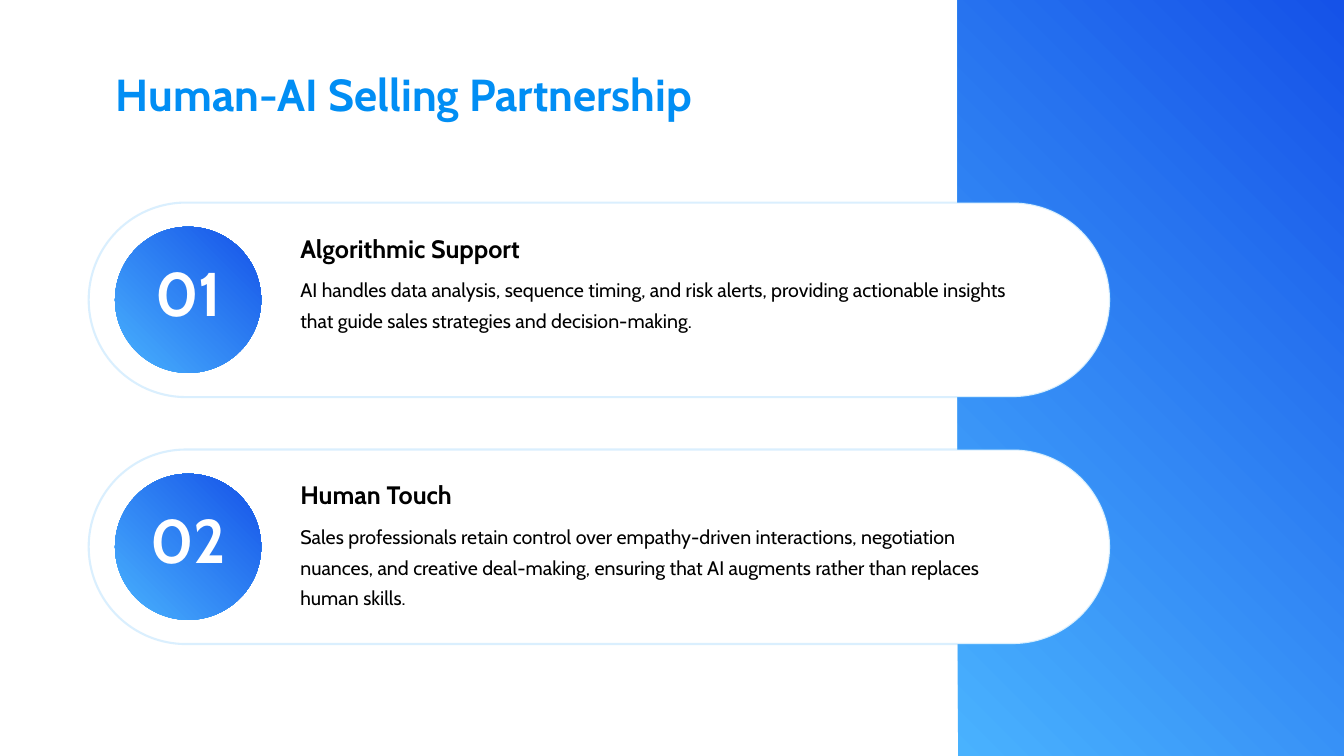
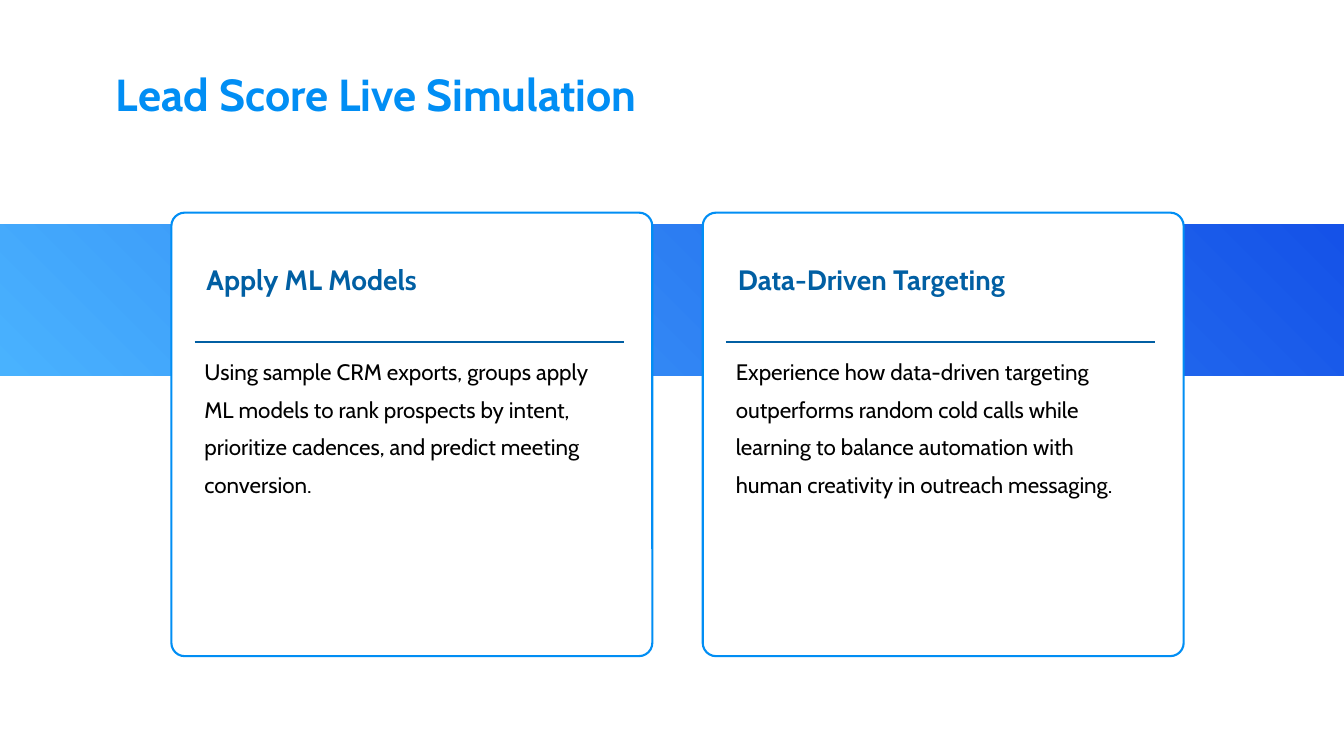
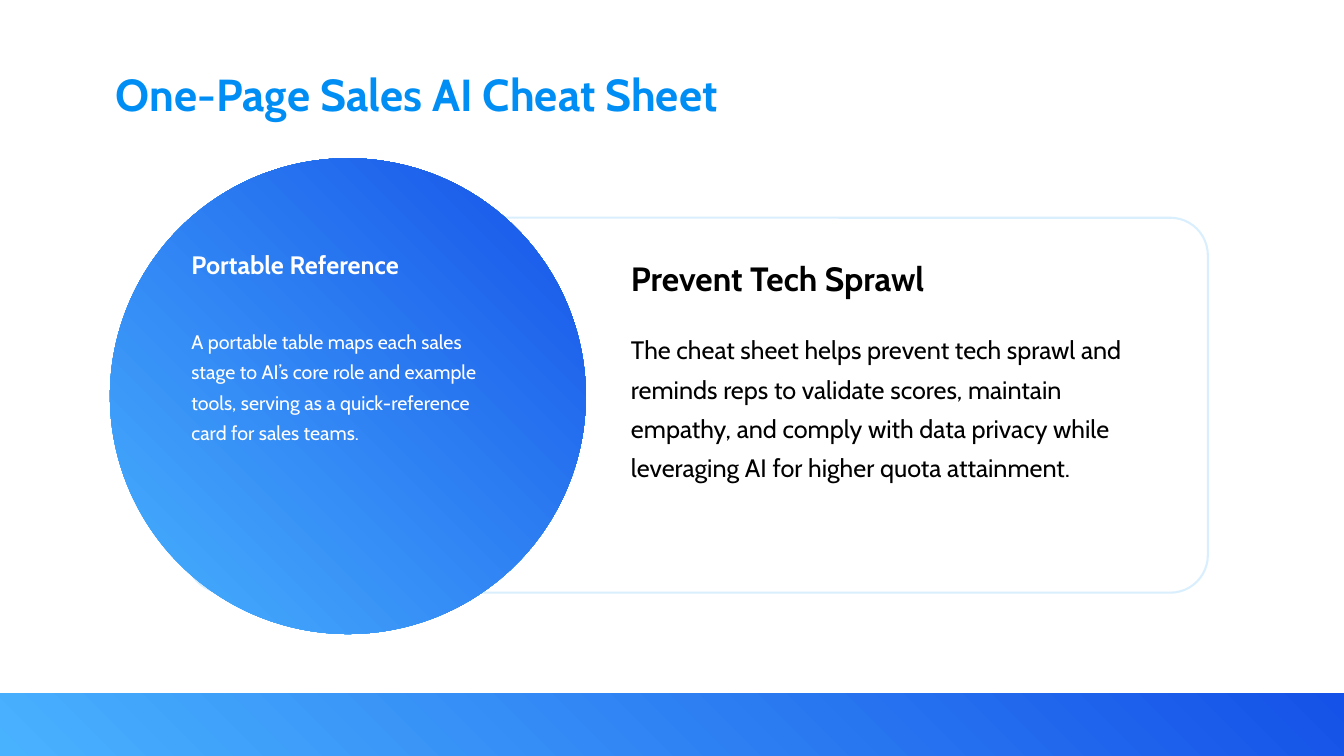
from lxml.etree import SubElement
from pptx import Presentation
from pptx.dml.color import RGBColor
from pptx.enum.shapes import MSO_CONNECTOR, MSO_SHAPE
from pptx.enum.text import MSO_ANCHOR, MSO_AUTO_SIZE, PP_ALIGN
from pptx.oxml.ns import qn
from pptx.util import Inches, Pt

FONT = "Cabin"
WHITE, BLACK = "FFFFFF", "000000"
SKY, ROYAL = "49B2FE", "1552E8"
BLUE, NAVY = "018EF4", "015FA3"
rgb = RGBColor.from_string


def write(box, text, size, color=BLACK, bold=False, spacing=None, align=PP_ALIGN.LEFT):
    frame = box.text_frame
    frame.word_wrap = True
    frame.auto_size = MSO_AUTO_SIZE.NONE
    frame.vertical_anchor = MSO_ANCHOR.TOP
    frame.margin_left = frame.margin_right = Inches(0.1)
    frame.margin_top = frame.margin_bottom = 0
    para = frame.paragraphs[0]
    para.alignment = align
    para.line_spacing = spacing
    span = para.add_run()
    span.text = text
    span.font.name = FONT
    span.font.size = Pt(size)
    span.font.bold = bold
    span.font.color.rgb = rgb(color)


def add_panel(page, kind, place, outline=None, corner=None, opacity=100):
    """Add a white panel when an outline is given, otherwise a gradient one."""
    panel = page.shapes.add_shape(kind, *map(Inches, place))
    panel.shadow.inherit = False
    if corner is not None:
        panel.adjustments[0] = corner
    if outline:
        panel.fill.solid()
        panel.fill.fore_color.rgb = rgb(WHITE)
        panel.line.color.rgb = rgb(outline)
        panel.line.width = Pt(1.5)
        if opacity < 100:
            line_color = panel._element.spPr.xpath("./a:ln//a:srgbClr")[0]
            SubElement(line_color, qn("a:alpha")).set("val", str(opacity * 1000))
    else:
        panel.fill.gradient()
        panel.fill.gradient_angle = 45
        for stop, color, position in zip(panel.fill.gradient_stops, (SKY, ROYAL), (0, 1)):
            stop.color.rgb = rgb(color)
            stop.position = position
        panel.line.fill.background()


deck = Presentation()
deck.slide_width, deck.slide_height = Inches(13.33), Inches(7.5)
layout = deck.slide_layouts.get_by_name("Title Only")
layout_title = layout.placeholders[0]
layout_title.left, layout_title.top = Inches(1.05), Inches(0.66)
layout_title.width, layout_title.height = Inches(10.72), Inches(0.55)

pages = []
for title in (
    "Human-AI Selling Partnership",
    "Lead Score Live Simulation",
    "One-Page Sales AI Cheat Sheet",
):
    page = deck.slides.add_slide(layout)
    write(page.shapes.title, title, 32, BLUE, bold=True)
    pages.append(page)
partnership, simulation, cheat_sheet = pages

# Numbered pills over a side band
add_panel(partnership, MSO_SHAPE.RECTANGLE, (9.5, 0, 3.83, 7.5))
pills = [
    ("Algorithmic Support",
     "AI handles data analysis, sequence timing, and risk alerts, providing "
     "actionable insights that guide sales strategies and decision-making."),
    ("Human Touch",
     "Sales professionals retain control over empathy-driven interactions, "
     "negotiation nuances, and creative deal-making, ensuring that AI augments "
     "rather than replaces human skills."),
]
for index, (heading, detail) in enumerate(pills):
    top = 2.01 + index * 2.45
    add_panel(partnership, MSO_SHAPE.ROUNDED_RECTANGLE, (0.88, top, 10.13, 1.93), SKY, 0.5, 20)
    add_panel(partnership, MSO_SHAPE.OVAL, (1.14, top + 0.24, 1.45, 1.45))
    for place, text, style in (
        ((1.34, top + 0.52, 1.06, 0.75), f"{index + 1:02}",
         dict(size=44, color=WHITE, bold=True, align=PP_ALIGN.CENTER)),
        ((2.88, top + 0.3, 7.41, 0.31), heading, dict(size=18, bold=True)),
        ((2.88, top + 0.68, 7.41, 0.94), detail, dict(size=14, spacing=1.3)),
    ):
        write(partnership.shapes.add_textbox(*map(Inches, place)), text, **style)

# Two cards across a band
add_panel(simulation, MSO_SHAPE.RECTANGLE, (0, 2.23, 13.33, 1.5))
cards = [
    ("Apply ML Models",
     "Using sample CRM exports, groups apply ML models to rank prospects by "
     "intent, prioritize cadences, and predict meeting conversion."),
    ("Data-Driven Targeting",
     "Experience how data-driven targeting outperforms random cold calls while "
     "learning to balance automation with human creativity in outreach messaging."),
]
for index, (heading, detail) in enumerate(cards):
    left = 1.7 + index * 5.27
    add_panel(simulation, MSO_SHAPE.ROUNDED_RECTANGLE, (left, 2.11, 4.77, 4.4), BLUE, 0.03)
    rule = simulation.shapes.add_connector(
        MSO_CONNECTOR.STRAIGHT,
        Inches(left + 0.23), Inches(3.39), Inches(left + 4.49), Inches(3.39))
    rule.line.color.rgb = rgb(NAVY)
    rule.line.width = Pt(1.5)
    SubElement(rule._element.spPr, qn("a:effectLst"))
    for place, text, style in (
        ((left + 0.25, 2.6, 4.26, 0.34), heading, dict(size=20, color=NAVY, bold=True)),
        ((left + 0.23, 3.45, 4.26, 1.87), detail, dict(size=16, spacing=1.4)),
    ):
        write(simulation.shapes.add_textbox(*map(Inches, place)), text, **style)

# Disc overlapping a card, above a bottom band
add_panel(cheat_sheet, MSO_SHAPE.RECTANGLE, (0, 6.88, 13.33, 0.62))
add_panel(cheat_sheet, MSO_SHAPE.ROUNDED_RECTANGLE, (1.85, 2.16, 10.13, 3.72), SKY, 0.1, 20)
add_panel(cheat_sheet, MSO_SHAPE.OVAL, (1.09, 1.57, 4.72, 4.72))
for place, text, style in (
    ((1.8, 2.47, 3.3, 0.31), "Portable Reference", dict(size=18, color=WHITE, bold=True)),
    ((1.8, 3.2, 3.3, 1.25),
     "A portable table maps each sales stage to AI’s core role and example tools, "
     "serving as a quick-reference card for sales teams.",
     dict(size=14, color=WHITE, spacing=1.3)),
    ((6.16, 2.56, 5.08, 0.4), "Prevent Tech Sprawl", dict(size=24, bold=True)),
    ((6.16, 3.23, 5.35, 1.95),
     "The cheat sheet helps prevent tech sprawl and reminds reps to validate "
     "scores, maintain empathy, and comply with data privacy while leveraging AI "
     "for higher quota attainment.",
     dict(size=18, spacing=1.3)),
):
    write(cheat_sheet.shapes.add_textbox(*map(Inches, place)), text, **style)

deck.save("out.pptx")
